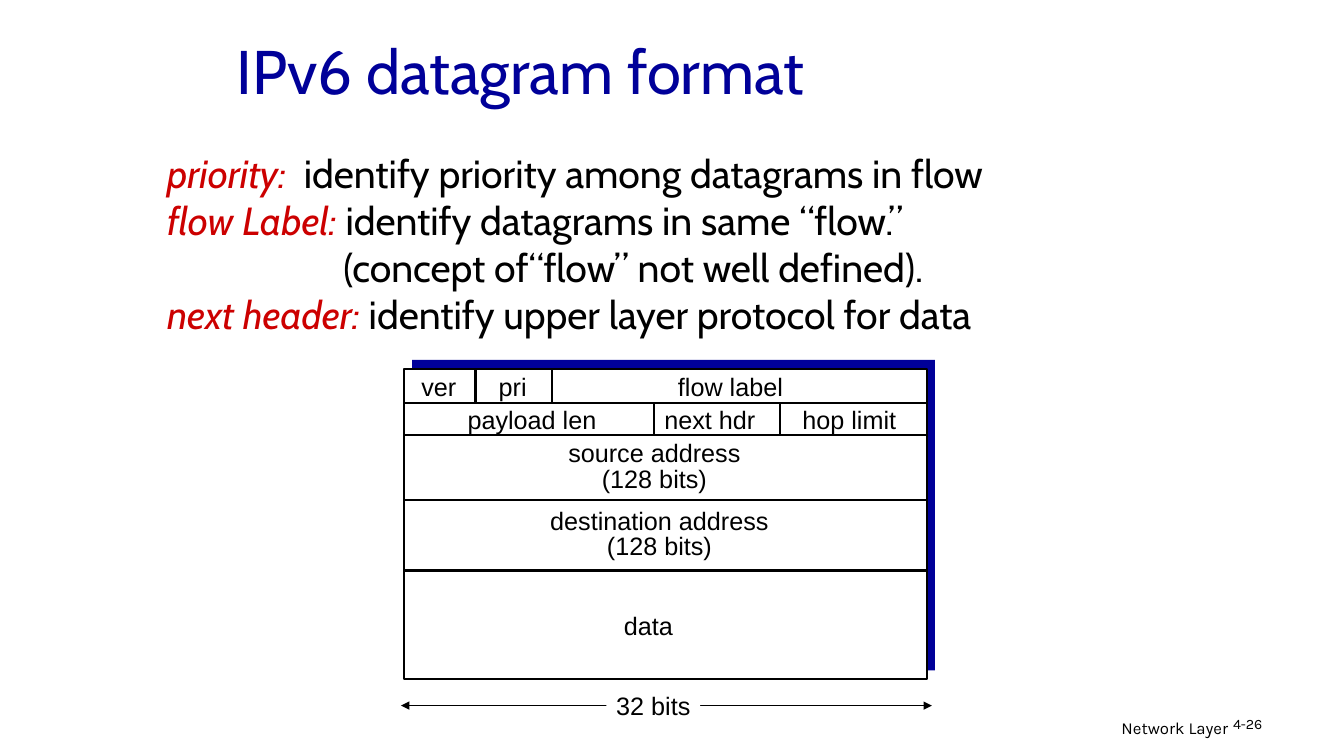
from collections import namedtuple

from lxml.etree import SubElement
from pptx import Presentation
from pptx.dml.color import RGBColor
from pptx.enum.shapes import MSO_CONNECTOR as Connector, MSO_SHAPE as Shape
from pptx.enum.text import MSO_ANCHOR as Anchor, PP_ALIGN as Align
from pptx.oxml.ns import qn
from pptx.util import Inches, Pt

NAVY = RGBColor(0x00, 0x00, 0x99)
RED = RGBColor(0xCC, 0x00, 0x00)
BLACK = RGBColor(0x00, 0x00, 0x00)
WHITE = RGBColor(0xFF, 0xFF, 0xFF)

WIDTH, HEIGHT = 13.34, 7.5
Box = namedtuple("Box", "left top width height")
Field = namedtuple("Field", "text right shift")

DEFINITIONS = [
    ("priority:", "  identify priority among datagrams in flow", 0),
    ("flow Label:", " identify datagrams in same “flow.”", 0),
    ("", "(concept of“flow” not well defined).", 1.75),
    ("next header:", " identify upper layer protocol for data", 0),
]
HEADER_ROWS = [
    (0.34, [Field("ver", 0.71, -0.01), Field("pri", 1.47, -0.01), Field("flow label", 5.19, -0.09)]),
    (0.66, [Field("payload len", 2.48, 0.03), Field("next hdr", 3.73, -0.07), Field("hop limit", 5.19, -0.04)]),
    (1.3, [Field("source address\n(128 bits)", 5.19, -0.11)]),
    (2.0, [Field("destination address\n(128 bits)", 5.19, -0.06)]),
    (3.08, [Field("data", 5.19, -0.17)]),
]


def inches(box):
    """Turn a box into slide lengths."""
    return [Inches(length) for length in box]


def add_span(para, text, font="Arial", size=18, color=BLACK, italic=False):
    """Add one formatted run to a paragraph."""
    span = para.add_run()
    span.text = text
    span.font.name, span.font.size = font, Pt(size)
    span.font.color.rgb, span.font.italic = color, italic


def add_text(page, box, text, align=Align.LEFT, anchor=Anchor.TOP, spacing=None, margin=0.1, **style):
    """Add a text box with one paragraph for each line."""
    frame = page.shapes.add_textbox(*inches(box)).text_frame
    frame.word_wrap, frame.vertical_anchor = True, anchor
    frame.margin_left = frame.margin_right = Inches(margin)
    for index, line in enumerate(text.split("\n")):
        para = frame.add_paragraph() if index else frame.paragraphs[0]
        para.alignment, para.line_spacing = align, spacing
        add_span(para, line, **style)


def add_label(page, box, text):
    """Add a label centred in its box, using the full width."""
    add_text(page, box, text, align=Align.CENTER, anchor=Anchor.MIDDLE,
             spacing=0.85 if "\n" in text else None, margin=0)


def add_block(page, box, fill, outline=None):
    """Add a filled rectangle, outlined if a colour is given."""
    block = page.shapes.add_shape(Shape.RECTANGLE, *inches(box))
    block.shadow.inherit = False
    block.fill.solid()
    block.fill.fore_color.rgb = fill
    if outline is None:
        block.line.fill.background()
    else:
        block.line.color.rgb, block.line.width = outline, Pt(1.5)


def add_line(page, left, top, right, bottom, width=1.5, arrows=False):
    """Add a straight line, with arrowheads at both ends on request."""
    line = page.shapes.add_connector(Connector.STRAIGHT, *inches((left, top, right, bottom)))
    line.line.color.rgb, line.line.width = BLACK, Pt(width)
    if arrows:
        for end in ("a:headEnd", "a:tailEnd"):
            SubElement(line.line._get_or_add_ln(), qn(end), type="triangle")
    SubElement(line._element.spPr, qn("a:effectLst"))


def add_definitions(page, box):
    """List the header fields with their meanings."""
    frame = page.shapes.add_textbox(*inches(box)).text_frame
    frame.word_wrap = True
    for index, (term, meaning, indent) in enumerate(DEFINITIONS):
        para = frame.add_paragraph() if index else frame.paragraphs[0]
        if indent:
            para._p.get_or_add_pPr().set("marL", str(Inches(indent)))
        if term:
            add_span(para, term, font="Cabin", size=28, color=RED, italic=True)
        add_span(para, meaning, font="Cabin", size=28)


def add_datagram(page, box):
    """Draw the datagram rows and fields inside the box."""
    add_block(page, box, WHITE, BLACK)
    row_top = box.top
    for bottom, fields in HEADER_ROWS:
        row_bottom = box.top + bottom
        field_left = box.left
        for field in fields:
            field_right = box.left + field.right
            cell = Box(field_left + field.shift, row_top, field_right - field_left, row_bottom - row_top)
            add_label(page, cell, field.text)
            if field is not fields[-1]:
                add_line(page, field_right, row_top, field_right, row_bottom)
            field_left = field_right
        if bottom < box.height:
            add_line(page, box.left, row_bottom, box.left + box.width, row_bottom)
        row_top = row_bottom


def add_bit_width(page, box):
    """Draw the width arrow with its label in the box."""
    middle = box.top + box.height / 2
    add_line(page, box.left, middle, box.left + box.width, middle, width=0.75, arrows=True)
    label = Box(box.left + 2.04, box.top, 0.93, box.height)
    add_block(page, label, WHITE)
    add_label(page, label, "32 bits")


def add_footer(page, box):
    """Place the chapter name and page number in the box."""
    number_width = 0.99
    chapter = Box(box.left, box.top, box.width - number_width + 0.15, box.height)
    number = Box(box.left + box.width - number_width, box.top, number_width, box.height)
    add_text(page, chapter, "Network Layer", align=Align.RIGHT, font="Karla", size=12)
    add_text(page, number, "4-26", spacing=0.9, font="Karla", size=10.2)


def main():
    """Build the slide and save it."""
    deck = Presentation()
    deck.slide_width, deck.slide_height = Inches(WIDTH), Inches(HEIGHT)
    page = deck.slides.add_slide(deck.slide_layouts[6])
    datagram = Box(4.01, 3.66, 5.19, 3.08)
    add_footer(page, Box(8.07, 7.07, 5.06, 0.3))
    add_text(page, Box(2.25, 0.2, 8.5, 0.99), "IPv6 datagram format",
             anchor=Anchor.MIDDLE, font="Cabin", size=44, color=NAVY)
    add_definitions(page, Box(1.56, 1.43, 9.36, 1.97))
    add_block(page, datagram._replace(left=datagram.left + 0.08, top=datagram.top - 0.09), NAVY)
    add_datagram(page, datagram)
    add_bit_width(page, Box(3.98, 6.8, 5.27, 0.4))
    deck.save("out.pptx")


if __name__ == "__main__":
    main()
